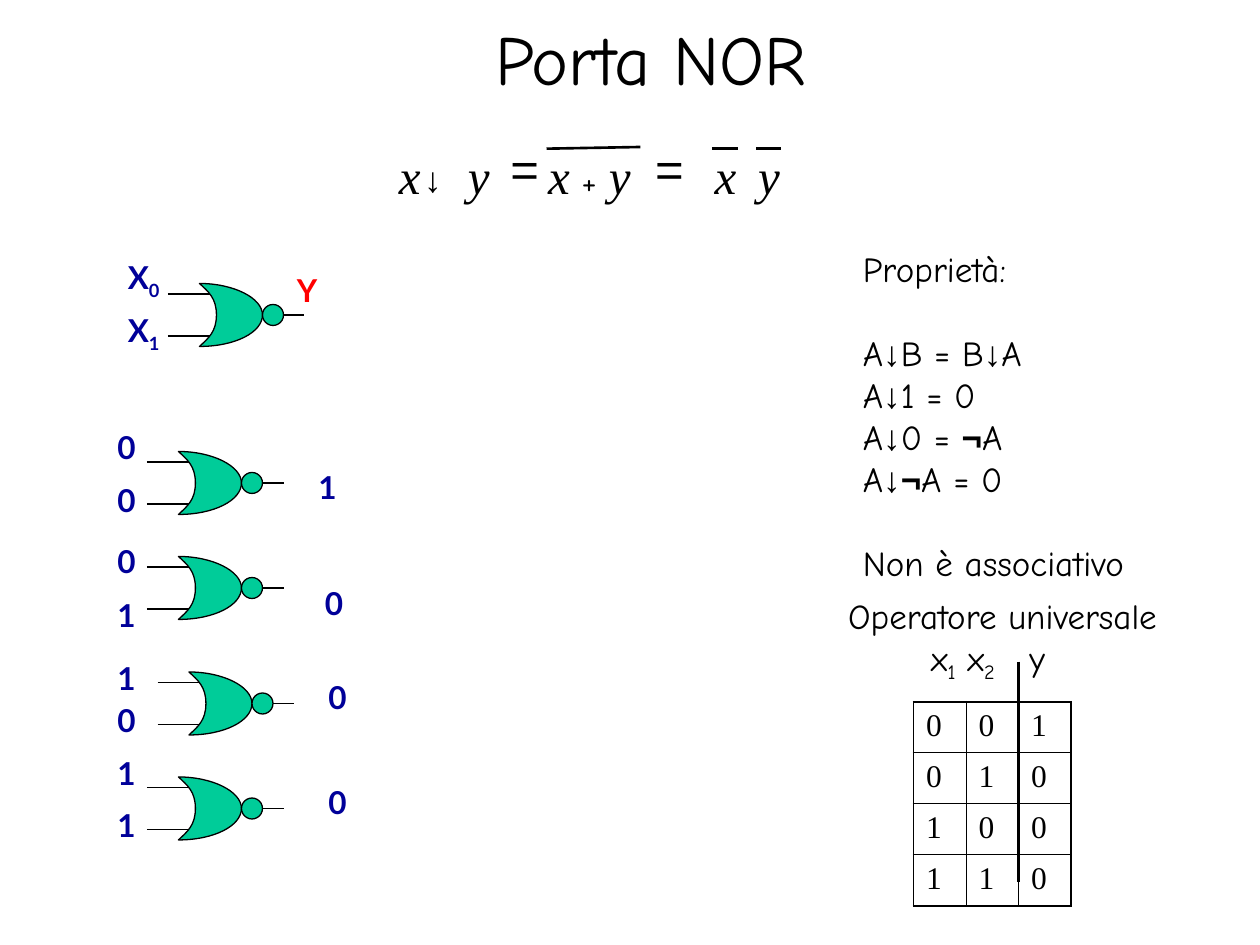
from dataclasses import dataclass, replace
from itertools import groupby

from lxml import etree
from pptx import Presentation
from pptx.dml.color import RGBColor
from pptx.enum.shapes import MSO_CONNECTOR, MSO_SHAPE
from pptx.enum.text import MSO_ANCHOR as ANCHOR, PP_ALIGN as ALIGN
from pptx.oxml import parse_xml
from pptx.oxml.ns import nsdecls, qn
from pptx.util import Emu, Inches, Pt

COLORS = {"ink": "000000", "label": "000099", "output": "FF0000", "gate": "00CC99"}
HAND, SANS, SERIF, BOLD = "Comic Neue", "Arial", "Times New Roman", "Lato"
COLS, ROWS = 120, 90  # square grid of twelve cells to the inch

prs = Presentation()
prs.slide_width, prs.slide_height = Inches(10), Inches(7.5)
slide = prs.slides.add_slide(prs.slide_layouts[6])


@dataclass(frozen=True)
class Run:
    text: str
    size: float = 20
    font: str = HAND
    color: str = "ink"
    bold: bool = False
    italic: bool = False
    sub: bool = False


@dataclass(frozen=True)
class Label:
    col: float
    row: float
    text: str
    sub: str = ""
    color: str = "label"


@dataclass(frozen=True)
class Gate:
    col: int
    row: int
    labels: tuple[Label, ...]


@dataclass(frozen=True)
class Term:
    """A piece of the formula, with its left and top in cells."""
    col: float
    row: float
    width: float
    runs: tuple[Run, ...]


def x(cols: float) -> Emu:
    return Emu(round(prs.slide_width * cols / COLS))


def y(rows: float) -> Emu:
    return Emu(round(prs.slide_height * rows / ROWS))


def rgb(name: str) -> RGBColor:
    return RGBColor.from_string(COLORS[name])


def add_runs(p, runs) -> None:
    for run in runs:
        r = p.add_run()
        r.text = run.text
        f = r.font
        f.name, f.size, f.bold, f.italic = run.font, Pt(run.size), run.bold, run.italic
        f.color.rgb = rgb(run.color)
        if run.sub:
            f._element.set("baseline", "-25000")


def add_text(col, row, width, height, runs, wrap=True, inset=True):
    tf = slide.shapes.add_textbox(x(col), y(row), x(width), y(height)).text_frame
    tf.word_wrap = wrap
    if not inset:
        tf.margin_left = tf.margin_right = tf.margin_top = tf.margin_bottom = 0
    add_runs(tf.paragraphs[0], runs)
    return tf


def add_line(shapes, c1, r1, c2, r2, width=0.75) -> None:
    line = shapes.add_connector(MSO_CONNECTOR.STRAIGHT, x(c1), y(r1), x(c2), y(r2))
    line.line.color.rgb, line.line.width = rgb("ink"), Pt(width)
    etree.SubElement(line._element.spPr, qn("a:effectLst"))


def paint_gate_part(sp) -> None:
    sp.shadow.inherit = False
    sp.fill.solid()
    sp.fill.fore_color.rgb = rgb("gate")
    sp.line.color.rgb, sp.line.width = rgb("ink"), Pt(0.75)


def bend(sp) -> None:
    """Turn each three line segments of an outline into one cubic curve."""
    segments = list(sp._element.iter(qn("a:lnTo")))
    for i in range(0, len(segments), 3):
        curve = etree.Element(qn("a:cubicBezTo"))
        segments[i].addprevious(curve)
        for segment in segments[i:i + 3]:
            curve.append(segment[0])
            segment.getparent().remove(segment)


# The body as shares of its own square: lower left, then three points a curve
BODY_SIZE = 6
BODY = [(0, 1), (0.14, 0.87), (0.27, 0.77), (0.27, 0.5), (0.27, 0.23), (0.14, 0.13),
        (0, 0), (0.54, 0), (1, 0.23), (1, 0.5), (1, 0.78), (0.56, 1), (0, 1)]


def add_gate(gate: Gate) -> None:
    c, r = gate.col, gate.row
    group = slide.shapes.add_group_shape().shapes
    points = [(x(c + BODY_SIZE * px), y(r + BODY_SIZE * py)) for px, py in BODY]
    builder = group.build_freeform(*points[0])
    builder.add_line_segments(points[1:], close=True)
    body = builder.convert_to_shape()
    bend(body)
    paint_gate_part(body)
    for row in (r + 1, r + 5):
        add_line(group, c - 3, row, c + 1, row)
    add_line(group, c + 6, r + 3, c + 10, r + 3)
    paint_gate_part(slide.shapes.add_shape(MSO_SHAPE.OVAL, x(c + 6), y(r + 2), x(2), y(2)))
    for lb in gate.labels:
        run = Run(lb.text, 18, BOLD, lb.color, bold=True)
        subscript = (replace(run, text=lb.sub, sub=True),) if lb.sub else ()
        add_text(lb.col, lb.row, 6 if lb.sub else 4.2, 4.8, (run, *subscript))


def logic_runs(line: str):
    """Split a law so that its logic signs take the sans font."""
    for sign, chars in groupby(line, lambda ch: ch if ch in "↓¬" else ""):
        yield Run("".join(chars), font=SANS if sign else HAND, bold=sign == "¬")


def add_truth_table(rows) -> None:
    row_height = 4.86
    table = slide.shapes.add_table(4, 3, x(87), y(66.84), x(15), y(4 * row_height)).table
    for column in table.columns:
        column.width = x(5)
    for i, values in enumerate(rows):
        table.rows[i].height = y(row_height)
        for j, value in enumerate(values):
            cell = table.cell(i, j)
            add_runs(cell.text_frame.paragraphs[0], [Run(value, 18, SERIF)])
            outer = {"L": j == 0, "R": j == 2, "T": i == 0, "B": i == 3}
            for side, is_outer in outer.items():
                width = Pt(1.08 if is_outer else 0.45)
                cell._tc.get_or_add_tcPr().append(parse_xml(
                    f'<a:ln{side} {nsdecls("a")} w="{width}"><a:solidFill>'
                    f'<a:srgbClr val="{COLORS["ink"]}"/></a:solidFill></a:ln{side}>'))
            cell.fill.background()


title = add_text(11, -2, 102, 15, [Run("Porta NOR", 40)])
title.vertical_anchor = ANCHOR.MIDDLE
title.paragraphs[0].alignment = ALIGN.CENTER

VAR_X, VAR_Y = (Run(name, 28, SERIF, italic=True) for name in "xy")
EQUALS = Run("=", 28, SANS)
FORMULA = [
    Term(38, 13.85, 2, (VAR_X,)), Term(40.4, 15, 1.3, (Run("↓", font=SANS),)),
    Term(44.55, 13.85, 2, (VAR_Y,)), Term(48.6, 13.2, 3.7, (EQUALS,)),
    Term(52.2, 13.85, 7.9, (VAR_X, Run(" + "), VAR_Y)), Term(62.4, 13.2, 3.7, (EQUALS,)),
    Term(68.05, 13.85, 2, (VAR_X,)), Term(72.2, 13.85, 2, (VAR_Y,)),
]
for term in FORMULA:
    add_text(term.col, term.row, term.width, 5.6, term.runs, wrap=False, inset=False)
for left, right, end_row in ((52.05, 61, 14), (67.8, 70.3, 14.16), (72, 74.4, 14.16)):
    add_line(slide.shapes, left, 14.16, right, end_row, 1.5)

GATES = [
    Gate(19, 27, (Label(11, 24, "X", "0"), Label(11, 29, "X", "1"),
                  Label(27.1, 25.2, "Y", color="output"))),
    Gate(17, 43, (Label(10, 40.2, "0"), Label(10, 45.2, "0"), Label(29.15, 44, "1"))),
    Gate(17, 53, (Label(10, 51, "0"), Label(10, 56.2, "1"), Label(29.75, 55, "0"))),
    Gate(18, 64, (Label(10, 62.2, "1"), Label(10, 66.2, "0"), Label(30.1, 64, "0"))),
    Gate(17, 74, (Label(10, 71.2, "1"), Label(10, 76.2, "1"), Label(30.1, 74, "0"))),
]
for gate in GATES:
    add_gate(gate)

tf = add_text(81, 23, 38.4, 33.2, [Run("Proprietà:")])
LAWS = ["A↓B = B↓A", "A↓1 = 0", "A↓0 = ¬A", "A↓¬A = 0", "Non è associativo"]
for law in LAWS:
    p = tf.add_paragraph()
    if law in (LAWS[0], LAWS[-1]):
        p.space_before = Pt(24)
    add_runs(p, logic_runs(law))
add_text(79.6, 56, 32, 5.3, [Run("Operatore universale")], wrap=False)

header = add_text(87.5, 60, 13.3, 5.8, ()).paragraphs[0]
header._p.get_or_add_pPr().append(parse_xml(
    f'<a:tabLst {nsdecls("a")}><a:tab pos="{Inches(0.78)}" algn="l"/></a:tabLst>'))
add_runs(header, [Run("x"), Run("1", sub=True), Run(" x"), Run("2", sub=True), Run("\ty")])
add_truth_table(["001", "010", "100", "110"])
add_line(slide.shapes, 97, 63, 97, 84, 2.25)

prs.save("out.pptx")
